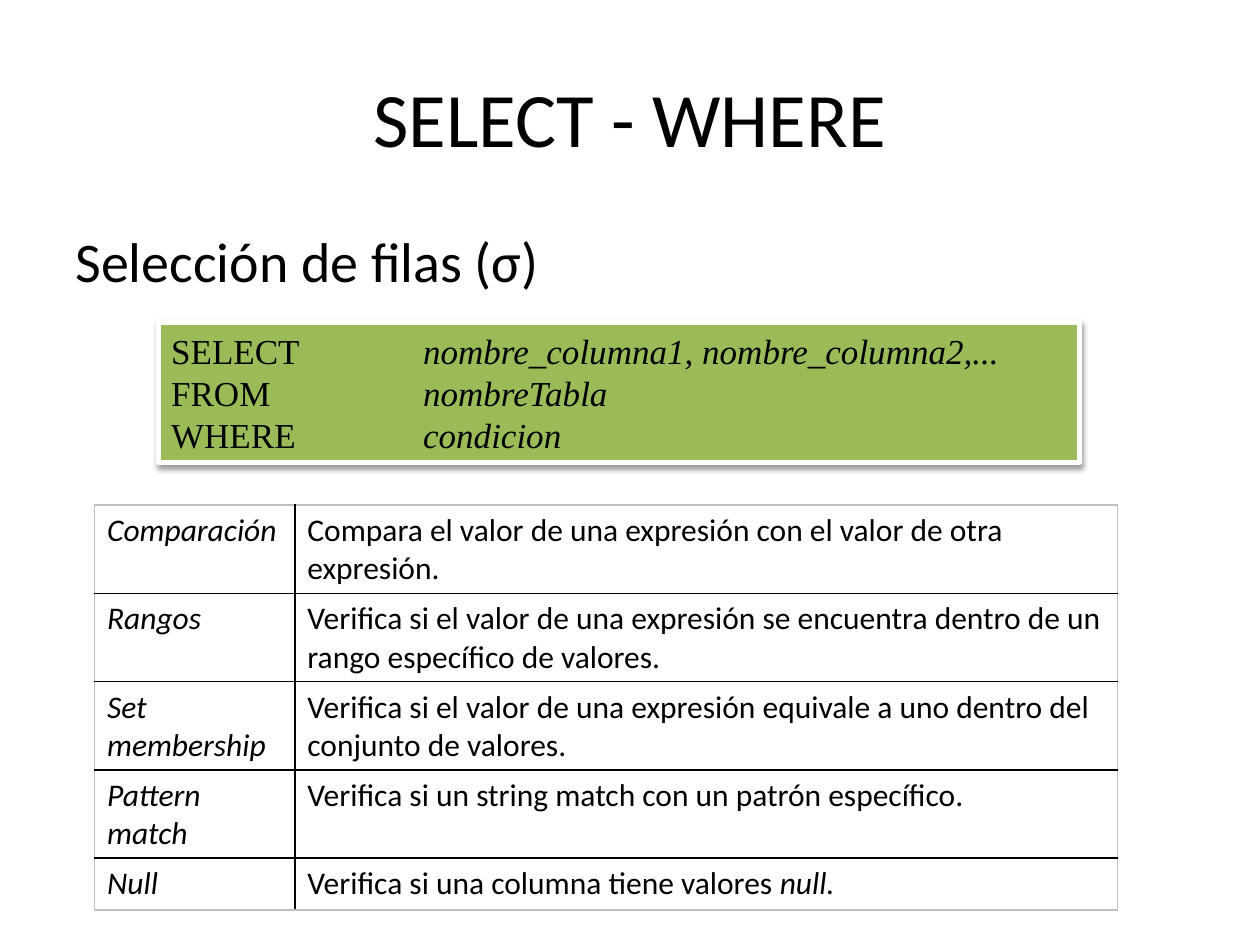
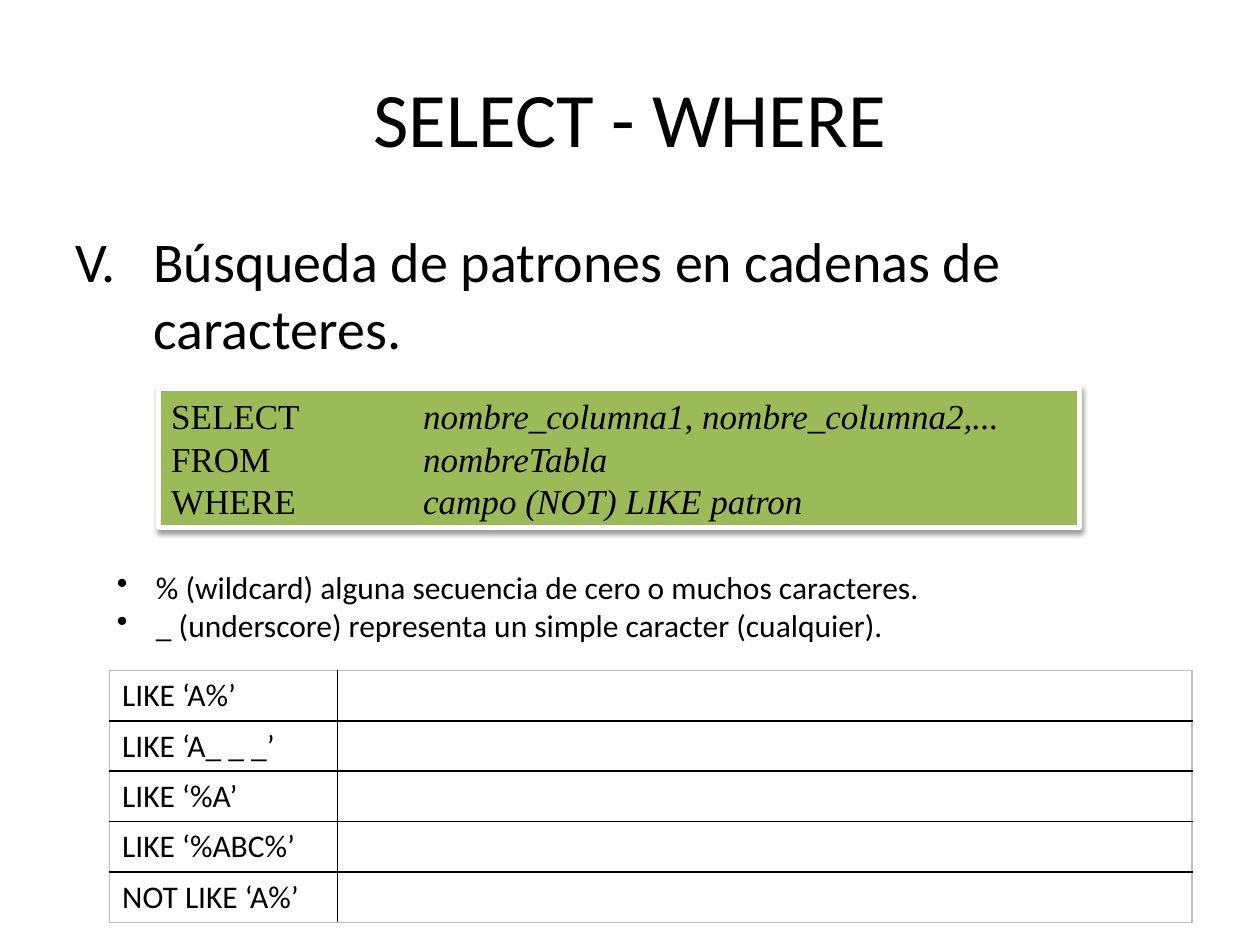
"""Builds two slides on SELECT - WHERE: row selection and pattern matching."""
from dataclasses import dataclass

from lxml import etree
from pptx import Presentation
from pptx.dml.color import RGBColor
from pptx.enum.shapes import MSO_SHAPE
from pptx.enum.text import MSO_ANCHOR, PP_ALIGN
from pptx.oxml import parse_xml
from pptx.oxml.ns import nsdecls, qn
from pptx.util import Emu, Pt

PX = 9144
RECT = MSO_SHAPE.RECTANGLE
CENTER, LEFT = PP_ALIGN.CENTER, PP_ALIGN.LEFT
MIDDLE, TOP = MSO_ANCHOR.MIDDLE, MSO_ANCHOR.TOP


@dataclass(frozen=True)
class Theme:
    """Colours, fonts and type sizes."""
    ink: str = "000000"
    paper: str = "FFFFFF"
    code_fill: str = "9BBB59"
    frame: str = "BFBFBF"
    sans: str = "Calibri"
    serif: str = "Times New Roman"
    title: int = 44
    heading: int = 32
    code: int = 20
    small: int = 18


class Deck:
    """Holds the theme and the current slide, and draws each kind of element."""

    def __init__(self, theme):
        self.theme = theme
        self.prs = Presentation()
        self.prs.slide_width, self.prs.slide_height = self.px(1000, 750)

    def px(self, *lengths):
        """Turn px lengths into EMU."""
        return [Emu(n * PX) for n in lengths]

    def new_slide(self, title):
        """Start a blank slide with the shared title."""
        self.s = self.prs.slides.add_slide(self.prs.slide_layouts[6])
        self.textbox((50, 30, 900, 125), [title], self.theme.title, CENTER, MIDDLE)

    def set_lines(self, tf, lines, size, font=None, align=LEFT):
        """Set lines whose odd "|" pieces are italic."""
        tf.text = "\n".join([""] * len(lines))
        for p, line in zip(tf.paragraphs, lines):
            p.alignment = align
            for i, piece in enumerate(line.split("|")):
                if not piece:
                    continue
                r = p.add_run()
                r.text = piece
                r.font.size = Pt(size)
                r.font.name = font or self.theme.sans
                r.font.italic = i % 2 == 1
                r.font.color.rgb = RGBColor.from_string(self.theme.ink)

    def textbox(self, box, lines, size, align=LEFT, anchor=TOP):
        """Add a wrapping text box and return its text frame."""
        tf = self.s.shapes.add_textbox(*self.px(*box)).text_frame
        tf.word_wrap = True
        tf.vertical_anchor = anchor
        self.set_lines(tf, lines, size, align=align)
        return tf

    def heading(self, text, number=None):
        """Add the heading, with a Roman numeral if a number is given."""
        tf = self.textbox((50, 175, 900, 120), [text], self.theme.heading)
        if number:
            self.hang(tf, 62, "buAutoNum", type="romanUcPeriod", startAt=str(number))

    def bullets(self, box, lines):
        """Add a bulleted list."""
        tf = self.textbox(box, lines, self.theme.small)
        self.hang(tf, 31, "buChar", char="•")

    def hang(self, tf, indent, tag, **attrs):
        """Give every paragraph a hanging mark."""
        for p in tf.paragraphs:
            pPr = p._p.get_or_add_pPr()
            pPr.set("marL", str(indent * PX))
            pPr.set("indent", str(-indent * PX))
            etree.SubElement(pPr, qn("a:" + tag), attrs)

    def code(self, top, columns, condition):
        """Add the green query panel with a tab stop after the keywords."""
        sp = self.s.shapes.add_shape(RECT, *self.px(126, top, 731, 111))
        sp.fill.solid()
        sp.fill.fore_color.rgb = RGBColor.from_string(self.theme.code_fill)
        sp.line.color.rgb = RGBColor.from_string(self.theme.paper)
        sp.line.width = Pt(3)
        sp.shadow.inherit = False
        sp._element.spPr.find(qn("a:effectLst")).append(parse_xml(
            f'<a:outerShdw {nsdecls("a")} blurRad="40000" dist="20000" dir="5400000" '
            f'rotWithShape="0"><a:srgbClr val="{self.theme.ink}">'
            '<a:alpha val="38000"/></a:srgbClr></a:outerShdw>'))
        tf = sp.text_frame
        tf.word_wrap = True
        lines = [f"SELECT\t|{columns}", "FROM\t|nombreTabla", f"WHERE\t|{condition}"]
        self.set_lines(tf, lines, self.theme.code, self.theme.serif)
        for p in tf.paragraphs:
            tabs = etree.SubElement(p._p.get_or_add_pPr(), qn("a:tabLst"))
            etree.SubElement(tabs, qn("a:tab"), pos=str(200 * PX), algn="l")

    def table(self, left, top, widths, heights, rows):
        """Add a ruled table with a light outer frame."""
        box = self.px(left, top, sum(widths), sum(heights))
        table = self.s.shapes.add_table(len(rows), len(widths), *box).table
        table.first_row = table.horz_banding = False
        for column, width in zip(table.columns, self.px(*widths)):
            column.width = width
        for row, height in zip(table.rows, self.px(*heights)):
            row.height = height
        for y, texts in enumerate(rows):
            for x, text in enumerate(texts):
                cell = table.cell(y, x)
                cell.fill.background()
                self.set_lines(cell.text_frame, [text], self.theme.small)
                self.borders(cell, {"L": x == 0, "R": x == len(widths) - 1,
                                    "T": y == 0, "B": y == len(rows) - 1})

    def borders(self, cell, outer):
        """Rule the four sides of a cell."""
        tcPr = cell._tc.get_or_add_tcPr()
        for i, (side, is_outer) in enumerate(outer.items()):
            color = self.theme.frame if is_outer else self.theme.ink
            tcPr.insert(i, parse_xml(
                f'<a:ln{side} {nsdecls("a")} w="12700"><a:solidFill>'
                f'<a:srgbClr val="{color}"/></a:solidFill></a:ln{side}>'))


def main():
    """Build and save the deck."""
    deck = Deck(Theme())
    title = "SELECT - WHERE"
    columns = "nombre_columna1, nombre_columna2,..."

    deck.new_slide(title)
    deck.heading("Selección de filas (σ)")
    deck.code(256, columns, "condicion")
    deck.table(75, 401, [159, 653], [70] * 4 + [41], [
        ("|Comparación", "Compara el valor de una expresión con el valor de otra expresión."),
        ("|Rangos", "Verifica si el valor de una expresión se encuentra dentro de un "
                    "rango específico de valores."),
        ("|Set membership", "Verifica si el valor de una expresión equivale a uno dentro "
                            "del conjunto de valores."),
        ("|Pattern match", "Verifica si un string match con un patrón específico."),
        ("|Null", "Verifica si una columna tiene valores |null."),
    ])

    deck.new_slide(title)
    deck.heading("Búsqueda de patrones en cadenas de caracteres.", 5)
    deck.code(308, columns, "campo (NOT) LIKE patron")
    deck.bullets((83, 446, 664, 71), [
        "% (wildcard) alguna secuencia de cero o muchos caracteres.",
        "_ (underscore) representa un simple caracter (cualquier).",
    ])
    patterns = ["LIKE ‘A%’", "LIKE ‘A_ _ _’", "LIKE ‘%A’", "LIKE ‘%ABC%’", "NOT LIKE ‘A%’"]
    deck.table(87, 532, [181, 678], [40] * 5, [(pattern, "") for pattern in patterns])

    deck.prs.save("out.pptx")


if __name__ == "__main__":
    main()
